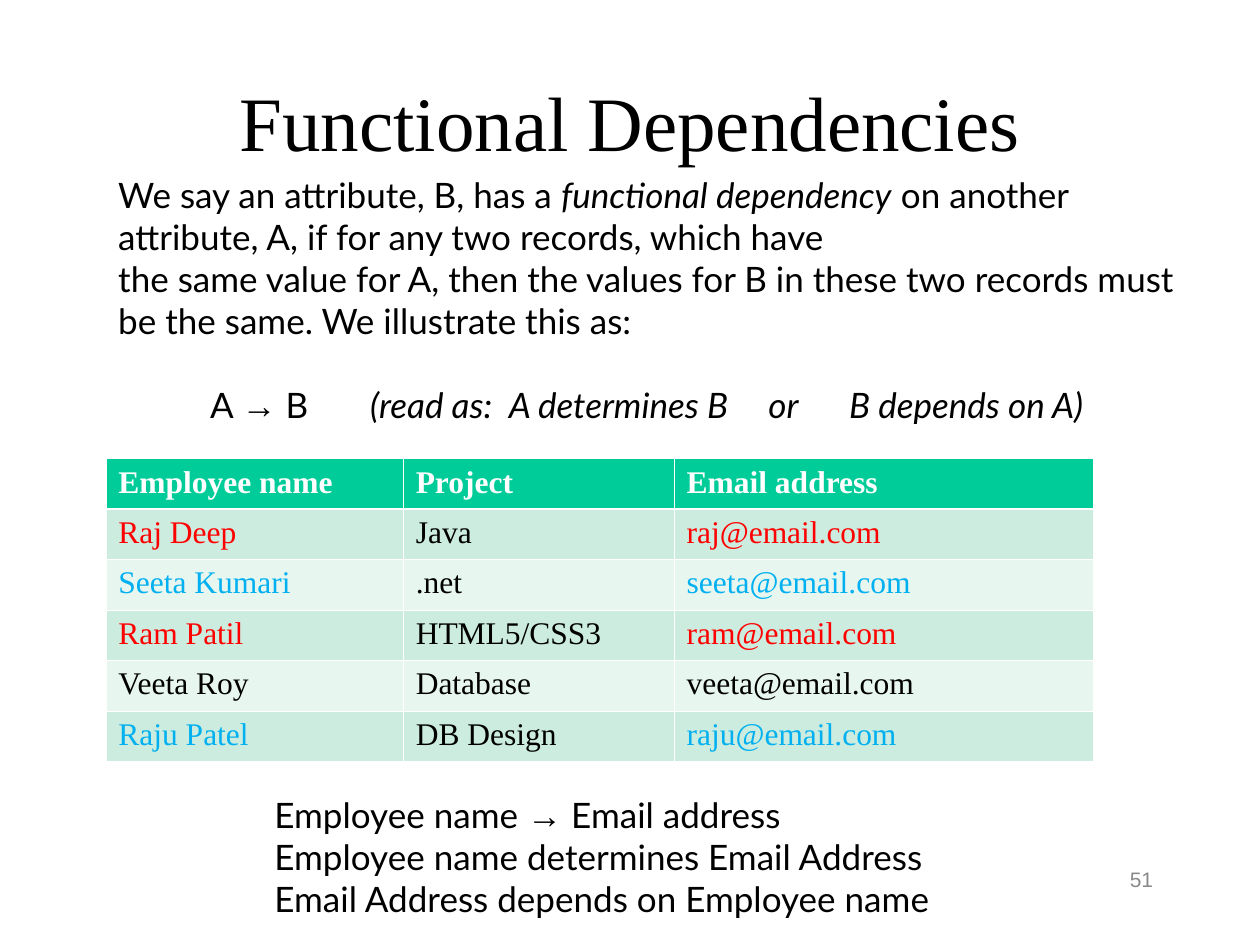
from lxml.etree import SubElement
from pptx import Presentation
from pptx.dml.color import RGBColor
from pptx.enum.text import MSO_ANCHOR, PP_ALIGN
from pptx.oxml.ns import qn
from pptx.util import Inches, Pt

SERIF, SANS, ARROW_FONT = "Times New Roman", "Lato", "Arial"
BLACK, WHITE, RED, BLUE, GREY = "000000", "FFFFFF", "FF0000", "00B0F0", "898989"
HEADER_FILL, BAND_FILLS = "00CC99", ("CBECDE", "E7F6EF")
COLUMN_WIDTHS = (2.36, 2.15, 3.33)
ROW_HEIGHT = 0.4
HEADINGS = ("Employee name", "Project", "Email address")
EMPLOYEES = (
    ("Raj Deep", "Java", "raj@email.com", RED),
    ("Seeta Kumari", ".net", "seeta@email.com", BLUE),
    ("Ram Patil", "HTML5/CSS3", "ram@email.com", RED),
    ("Veeta Roy", "Database", "veeta@email.com", BLACK),
    ("Raju Patel", "DB Design", "raju@email.com", BLUE),
)


def color(value):
    return RGBColor.from_string(value)


def set_font(paragraph, name, size, value=BLACK, bold=False):
    font = paragraph.font
    font.name, font.size, font.bold = name, Pt(size), bold
    font.color.rgb = color(value)


def add_tabs(paragraph, stops):
    tab_list = SubElement(paragraph._p.get_or_add_pPr(), qn("a:tabLst"))
    for stop in stops:
        SubElement(tab_list, qn("a:tab"), pos=str(Inches(stop)), algn="l")


def add_runs(paragraph, parts):
    for text, style in parts:
        run = paragraph.add_run()
        run.text = text
        if style == "italic":
            run.font.italic = True
        elif style == "arrow":
            run.font.name = ARROW_FONT


def add_text_box(slide, left, top, width, height, paragraphs, indent=0):
    box = slide.shapes.add_textbox(*map(Inches, (left, top, width, height)))
    frame = box.text_frame
    frame.word_wrap = True
    for index, parts in enumerate(paragraphs):
        paragraph = frame.paragraphs[0] if index == 0 else frame.add_paragraph()
        if indent:
            paragraph._p.get_or_add_pPr().set("marL", str(Inches(indent)))
        add_runs(paragraph, parts)
    return frame.paragraphs


def add_title(slide, text):
    title = slide.shapes.title
    title.left, title.top, title.width, title.height = map(Inches, (0.75, 0.33, 8.5, 1.25))
    title.text_frame.text = text
    title.text_frame.vertical_anchor = MSO_ANCHOR.MIDDLE
    paragraph = title.text_frame.paragraphs[0]
    paragraph.alignment = PP_ALIGN.CENTER
    set_font(paragraph, SERIF, 44)


def add_definition(slide):
    paragraphs = add_text_box(slide, 0.84, 1.33, 8.83, 2.1, (
        (("We say an attribute, B, has a ", ""),
         ("functional dependency", "italic"),
         (" on another attribute, A, if for any two records, which have", "")),
        (("the same value for A, then the values for B in these two records must "
          "be the same. We illustrate this as:", ""),),
        (("\tA ", ""), ("→", "arrow"), (" B\t", ""),
         ("(read as:\tA determines B\tor\tB depends on A)", "italic")),
    ))
    notation = paragraphs[-1]
    notation.space_before = Pt(24)
    add_tabs(notation, (0.73, 2, 3.1, 5.16, 5.8))
    for paragraph in paragraphs:
        set_font(paragraph, SANS, 20)


def add_example(slide):
    paragraphs = add_text_box(slide, 1.08, 6.25, 8.17, 1.1, (
        (("Employee name ", ""), ("→", "arrow"), (" Email address", "")),
        (("Employee name determines Email Address", ""),),
        (("Email Address depends on Employee name", ""),),
    ), indent=1)
    for paragraph in paragraphs:
        set_font(paragraph, SANS, 20)


def add_page_number(slide, number):
    paragraph = add_text_box(slide, 7.17, 6.83, 2.08, 0.5, (((number, ""),),))[0]
    paragraph.alignment = PP_ALIGN.RIGHT
    set_font(paragraph, ARROW_FONT, 12, GREY)


def set_borders(cell, row):
    heavy_side = {0: "lnB", 1: "lnT"}.get(row)
    for side in ("lnL", "lnR", "lnT", "lnB"):
        width = Pt(1.47 if side == heavy_side else 0.45)
        line = SubElement(cell._tc.get_or_add_tcPr(), qn(f"a:{side}"), w=str(width))
        SubElement(SubElement(line, qn("a:solidFill")), qn("a:srgbClr"), val=WHITE)


def fill_cell(cell, row, text, value):
    set_borders(cell, row)
    cell.fill.solid()
    cell.fill.fore_color.rgb = color(BAND_FILLS[(row - 1) % 2] if row else HEADER_FILL)
    cell.text = text
    set_font(cell.text_frame.paragraphs[0], SERIF, 18, value, bold=row == 0)


def add_employee_table(slide):
    row_count = len(EMPLOYEES) + 1
    table = slide.shapes.add_table(
        row_count, len(HEADINGS), Inches(0.84), Inches(3.64),
        Inches(sum(COLUMN_WIDTHS)), Inches(ROW_HEIGHT * row_count)).table
    for column, width in zip(table.columns, COLUMN_WIDTHS):
        column.width = Inches(width)
    for index, heading in enumerate(HEADINGS):
        fill_cell(table.cell(0, index), 0, heading, WHITE)
    for row, (name, project, email, accent) in enumerate(EMPLOYEES, start=1):
        for index, (text, value) in enumerate(
                ((name, accent), (project, BLACK), (email, accent))):
            fill_cell(table.cell(row, index), row, text, value)


def main():
    presentation = Presentation()
    presentation.slide_width, presentation.slide_height = Inches(10), Inches(7.5)
    slide = presentation.slides.add_slide(presentation.slide_layouts[5])
    add_title(slide, "Functional Dependencies")
    add_page_number(slide, "51")
    add_definition(slide)
    add_example(slide)
    add_employee_table(slide)
    presentation.save("out.pptx")


if __name__ == "__main__":
    main()
